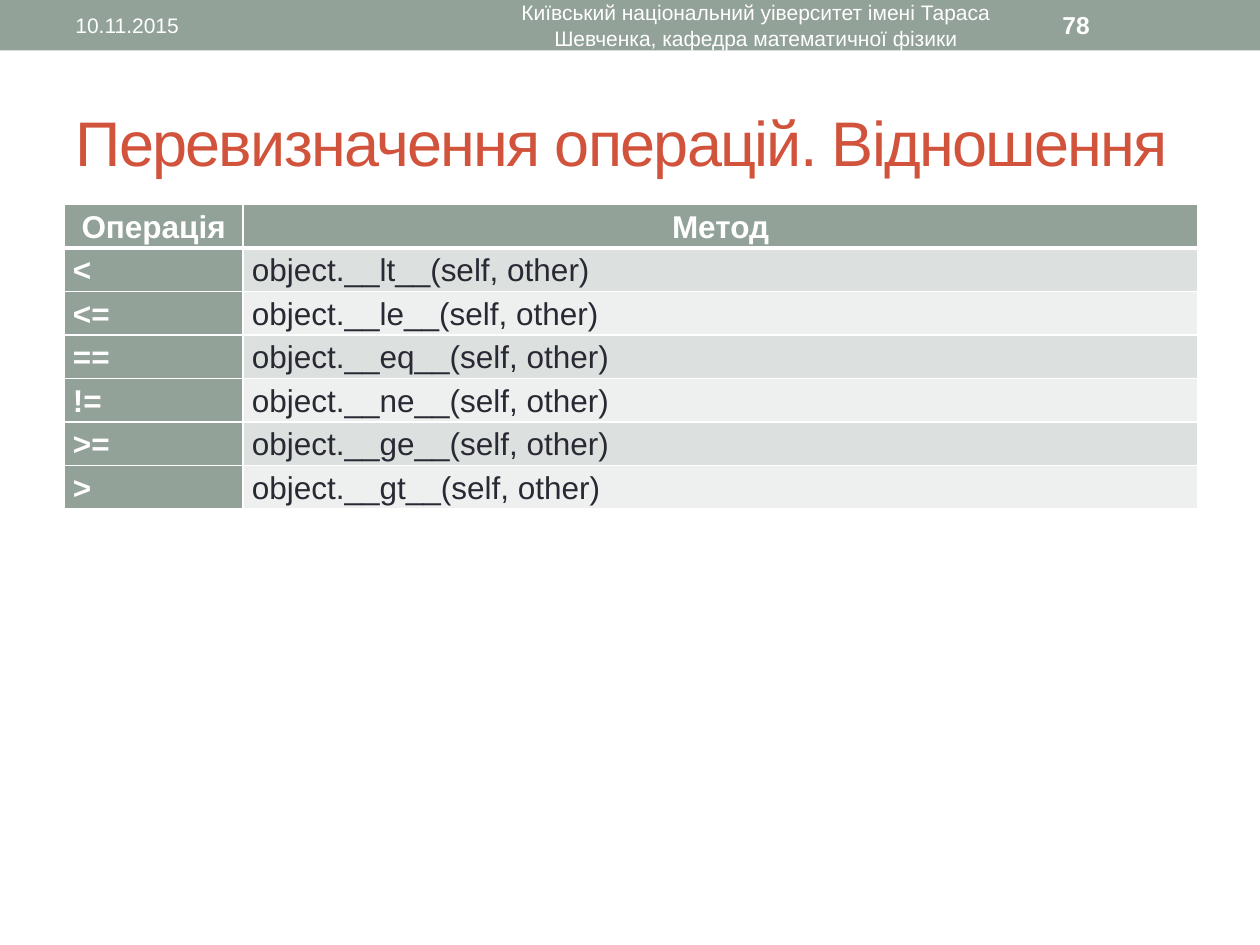
import dataclasses

import lxml.etree
import pptx
import pptx.dml.color
import pptx.enum.shapes
import pptx.enum.text
import pptx.oxml.ns
import pptx.util

Pt = pptx.util.Pt
Align = pptx.enum.text.PP_ALIGN
Anchor = pptx.enum.text.MSO_ANCHOR

COLORS = {
    "sage": "93A299",
    "rust": "D2533C",
    "ink": "292934",
    "white": "FFFFFF",
    "dark": "DCE0DE",
    "light": "EEF0EF",
}


@dataclasses.dataclass
class Label:
    text: str
    left: float
    width: float
    size: float = 12
    bold: bool = False
    align: Align = Align.LEFT


LABELS = [
    Label("10.11.2015", 36, 228),
    Label(
        "Київський національний уіверситет імені Тараса Шевченка, "
        "кафедра математичної фізики",
        270, 324, align=Align.CENTER,
    ),
    Label("78", 600, 84, size=14, bold=True),
]

METHODS = {"<": "lt", "<=": "le", "==": "eq", "!=": "ne", ">=": "ge", ">": "gt"}
WIDTHS = (102.2, 545.8)
ROW = 23.1


def tint(name: str) -> pptx.dml.color.RGBColor:
    return pptx.dml.color.RGBColor.from_string(COLORS[name])


def write(frame, text: str, *, size: float, color: str = "white",
          bold: bool = False, align: Align = Align.LEFT,
          lines: float = 1, track: float = 0) -> None:
    par = frame.paragraphs[0]
    par.alignment = align
    par.line_spacing = lines
    run = par.add_run()
    run.text = text
    run.font.name = "Arial"
    run.font.size = Pt(size)
    run.font.bold = bold
    run.font.color.rgb = tint(color)
    if track:
        run.font._element.set("spc", str(int(track * 100)))


def draw_band(slide) -> None:
    kind = pptx.enum.shapes.MSO_SHAPE.RECTANGLE
    band = slide.shapes.add_shape(kind, 0, 0, Pt(720), Pt(28.8))
    band.shadow.inherit = False
    band.fill.solid()
    band.fill.fore_color.rgb = tint("sage")
    band.line.fill.background()


def draw_title(slide, text: str) -> None:
    title = slide.shapes.title
    title.left, title.top = Pt(36), Pt(41.8)
    title.width, title.height = Pt(648), Pt(77.8)
    frame = title.text_frame
    frame.auto_size = pptx.enum.text.MSO_AUTO_SIZE.NONE
    frame.vertical_anchor = Anchor.MIDDLE
    write(frame, text, size=36, color="rust", track=-1)


def draw_label(slide, label: Label) -> None:
    box = slide.shapes.add_textbox(Pt(label.left), Pt(1.4), Pt(label.width), Pt(26))
    frame = box.text_frame
    frame.word_wrap = True
    frame.vertical_anchor = Anchor.MIDDLE
    write(frame, label.text, size=label.size, bold=label.bold, align=label.align)


def add_edge(cell, side: str, width: float) -> None:
    qn = pptx.oxml.ns.qn
    props = cell._tc.get_or_add_tcPr()
    line = lxml.etree.SubElement(props, qn(f"a:ln{side}"), w=str(Pt(width)))
    fill = lxml.etree.SubElement(line, qn("a:solidFill"))
    lxml.etree.SubElement(fill, qn("a:srgbClr"), val=COLORS["white"])


def draw_cell(cell, text: str, fill: str, top: float, base: float, **style) -> None:
    cell.margin_left = cell.margin_right = Pt(5)
    cell.margin_top = cell.margin_bottom = 0
    for side, width in (("L", 1), ("R", 1), ("T", top), ("B", base)):
        add_edge(cell, side, width)
    cell.fill.solid()
    cell.fill.fore_color.rgb = tint(fill)
    write(cell.text_frame, text, size=18, lines=1.15, **style)


def draw_table(slide) -> None:
    rows = [("Операція", "Метод")]
    rows += [(sign, f"object.__{name}__(self, other)") for sign, name in METHODS.items()]
    table = slide.shapes.add_table(
        len(rows), len(WIDTHS), Pt(36.7), Pt(116.8), Pt(sum(WIDTHS)), Pt(ROW * len(rows))
    ).table
    for col, width in zip(table.columns, WIDTHS):
        col.width = Pt(width)
    for i, texts in enumerate(rows):
        table.rows[i].height = Pt(ROW)
        top = 3 if i == 1 else 1
        base = 3 if i == 0 else 1
        for j, text in enumerate(texts):
            head = i == 0 or j == 0
            band = "dark" if i % 2 else "light"
            draw_cell(
                table.cell(i, j), text, "sage" if head else band, top, base,
                color="white" if head else "ink", bold=head,
                align=Align.LEFT if i else Align.CENTER,
            )


def main() -> None:
    deck = pptx.Presentation()
    deck.slide_width, deck.slide_height = Pt(720), Pt(540)
    slide = deck.slides.add_slide(deck.slide_layouts[5])
    draw_band(slide)
    draw_title(slide, "Перевизначення операцій. Відношення")
    for label in LABELS:
        draw_label(slide, label)
    draw_table(slide)
    deck.save("out.pptx")


if __name__ == "__main__":
    main()
